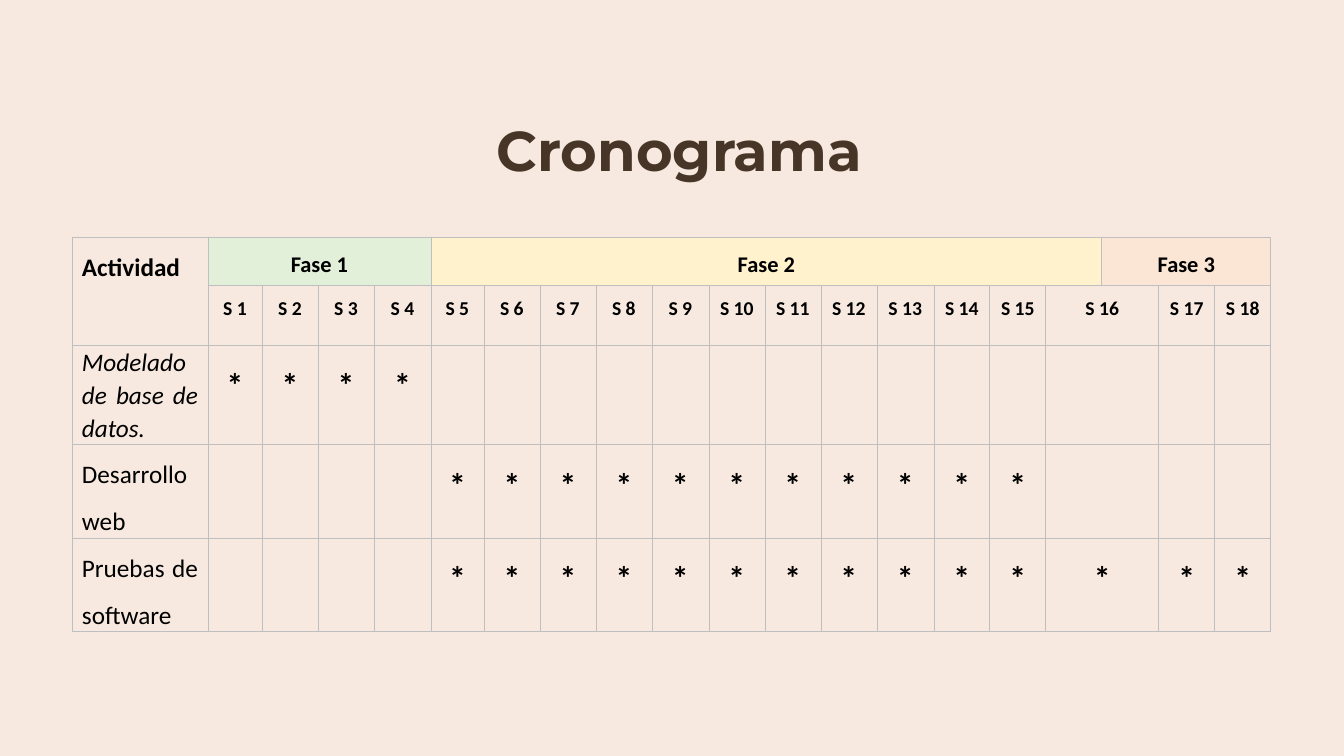
from itertools import pairwise

from lxml.etree import SubElement
from pptx import Presentation
from pptx.dml.color import RGBColor
from pptx.enum.text import MSO_ANCHOR, PP_ALIGN
from pptx.oxml.ns import qn
from pptx.util import Pt

COLORS = {
    "background": "F7E9DF",
    "title": "473527",
    "text": "000000",
    "border": "BFBFBF",
    "phase1": "E2EFD9",
    "phase2": "FFF2CC",
    "phase3": "FBE5D5",
}
EMU_PER_PX = 914400 / 100.8

COLUMN_EDGES = (
    [72, 208]
    + [262 + 169 * i // 3 for i in range(4)]
    + [484 + 225 * i // 4 for i in range(15)]
)
ROW_HEIGHTS = [48, 60, 98, 94, 92]
PHASES = [("Fase 1", 1, 4, "phase1"), ("Fase 2", 5, 16, "phase2"), ("Fase 3", 17, 19, "phase3")]
WEEK_COLUMNS = [*range(1, 17), 18, 19]
ACTIVITIES = [
    ("Modelado de base de datos.", range(1, 5), 1.08, True),
    ("Desarrollo web", range(5, 16), 1.5, False),
    ("Pruebas de software", range(5, 19), 1.5, False),
]


def px(n):
    return round(n * EMU_PER_PX)


def rgb(name):
    return RGBColor.from_string(COLORS[name])


class Deck:
    def __init__(self):
        self.prs = Presentation()
        self.prs.slide_width, self.prs.slide_height = px(1344), px(756)
        self.s = None

    def add_slide(self):
        self.s = self.prs.slides.add_slide(self.prs.slide_layouts[5])
        fill = self.s.background.fill
        fill.solid()
        fill.fore_color.rgb = rgb("background")

    def style(self, p, size, color="text", font="Calibri", bold=True, italic=False):
        p.font.size = Pt(size)
        p.font.name = font
        p.font.bold = bold
        p.font.italic = italic
        p.font.color.rgb = rgb(color)

    def title(self, text, x, y, w, h):
        sp = self.s.shapes.title
        sp.left, sp.top, sp.width, sp.height = px(x), px(y), px(w), px(h)
        tf = sp.text_frame
        tf.text = text
        tf.word_wrap = True
        tf.vertical_anchor = MSO_ANCHOR.MIDDLE
        tf.margin_left = tf.margin_right = tf.margin_top = tf.margin_bottom = px(13)
        p = tf.paragraphs[0]
        p.alignment = PP_ALIGN.CENTER
        self.style(p, 40, "title", "Montserrat")

    def border(self, cell):
        tcPr = cell._tc.get_or_add_tcPr()
        for side in ("lnL", "lnR", "lnT", "lnB"):
            ln = SubElement(tcPr, qn(f"a:{side}"), w=str(Pt(0.5)))
            fill = SubElement(ln, qn("a:solidFill"))
            SubElement(fill, qn("a:srgbClr"), val=COLORS["border"])

    def table(self, edges, heights, y):
        frame = self.s.shapes.add_table(
            len(heights), len(edges) - 1,
            px(edges[0]), px(y), px(edges[-1] - edges[0]), px(sum(heights)),
        )
        table = frame.table
        table.first_row = table.horz_banding = False
        for column, (left, right) in zip(table.columns, pairwise(edges)):
            column.width = px(right - left)
        for row, height in zip(table.rows, heights):
            row.height = px(height)
        for cell in table.iter_cells():
            self.border(cell)
            cell.fill.background()
            cell.margin_left = cell.margin_right = px(10)
            cell.margin_top = cell.margin_bottom = 0
        return table

    def cell(self, cell, text, size, align=PP_ALIGN.CENTER, spacing=1.5, **font):
        cell.text = text
        p = cell.text_frame.paragraphs[0]
        p.alignment = align
        p.line_spacing = spacing
        p.space_after = Pt(11)
        self.style(p, size, **font)


def main():
    deck = Deck()
    deck.add_slide()
    deck.title("Cronograma", 300, 74, 758, 151)
    table = deck.table(COLUMN_EDGES, ROW_HEIGHTS, 237)

    table.cell(0, 0).merge(table.cell(1, 0))
    deck.cell(table.cell(0, 0), "Actividad", 18, PP_ALIGN.JUSTIFY)
    for name, first, last, color in PHASES:
        cell = table.cell(0, first)
        cell.merge(table.cell(0, last))
        cell.fill.solid()
        cell.fill.fore_color.rgb = rgb(color)
        deck.cell(cell, name, 16)

    for row in range(1, len(ROW_HEIGHTS)):
        table.cell(row, 16).merge(table.cell(row, 17))
    for week, column in enumerate(WEEK_COLUMNS, 1):
        deck.cell(table.cell(1, column), f"S {week}", 14)

    for row, (name, weeks, spacing, italic) in enumerate(ACTIVITIES, 2):
        deck.cell(table.cell(row, 0), name, 18, PP_ALIGN.JUSTIFY, spacing, bold=False, italic=italic)
        for week in weeks:
            deck.cell(table.cell(row, WEEK_COLUMNS[week - 1]), "*", 24)

    deck.prs.save("out.pptx")


if __name__ == "__main__":
    main()
